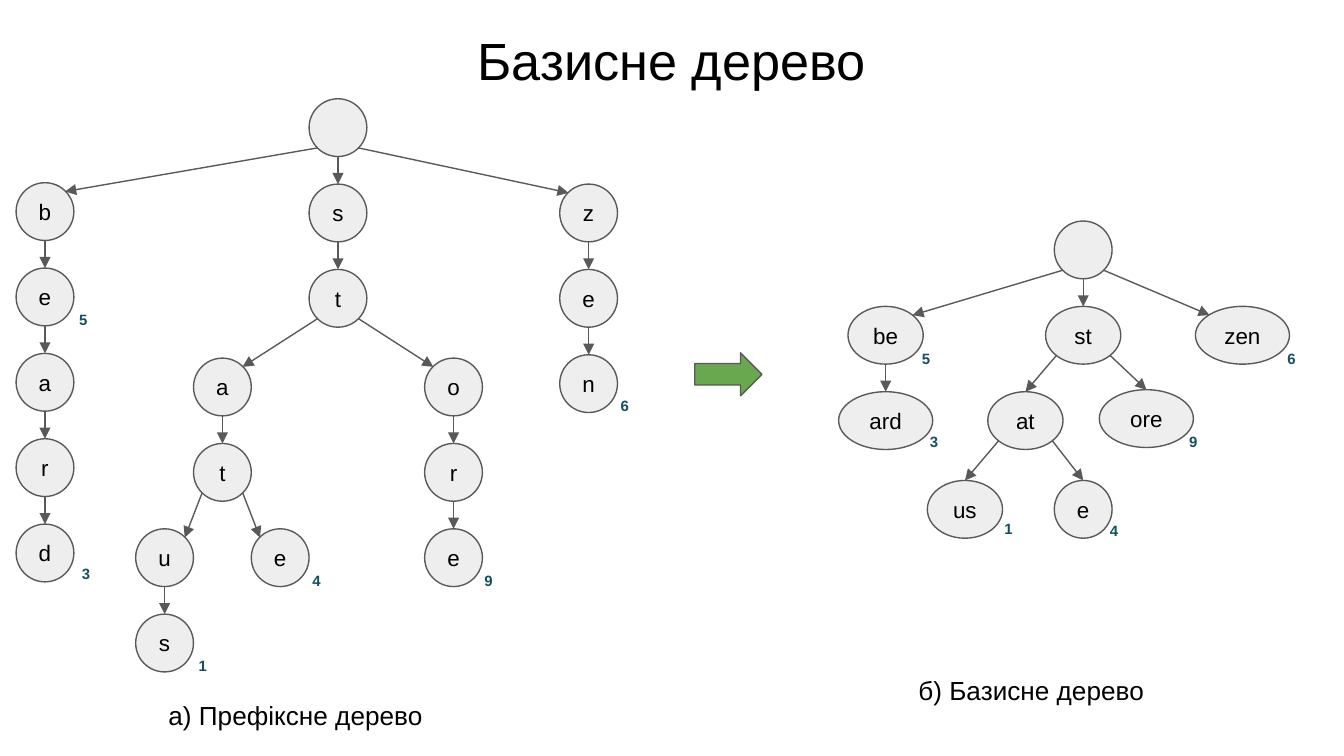
from dataclasses import dataclass
from math import sqrt

from lxml.etree import SubElement
from pptx import Presentation
from pptx.dml.color import RGBColor
from pptx.enum.shapes import MSO_CONNECTOR as Line, MSO_SHAPE as Shape
from pptx.enum.text import MSO_ANCHOR as Anchor, MSO_AUTO_SIZE as AutoSize, PP_ALIGN as Align
from pptx.oxml.ns import qn
from pptx.util import Pt

EMU_PER_PX = 4572
NODE_HEIGHT = 86
NODE_WIDTHS = {0: 86, 1: 86, 2: 112, 3: 140}
INSET = 20


@dataclass(frozen=True)
class Theme:
    font: str = "Arial"
    ink: str = "000000"
    node: str = "EEEEEE"
    outline: str = "595959"
    value: str = "134F5C"
    arrow: str = "6AA84F"
    title_size: int = 28
    caption_size: int = 14
    node_size: int = 12
    value_size: int = 8
    line_width: float = 0.75


@dataclass(frozen=True)
class Node:
    label: str
    cx: int
    top: int
    children: tuple = ()
    value: str = ""
    value_at: tuple = (0, 0)
    enter_at_top: bool = False

    @property
    def width(self):
        return NODE_WIDTHS[len(self.label)]

    def diagonal_point(self, side, level):
        x = self.cx + side * self.width / 2 / sqrt(2)
        y = self.top + NODE_HEIGHT / 2 + level * NODE_HEIGHT / 2 / sqrt(2)
        return round(x), round(y)


def px(*lengths):
    return [length * EMU_PER_PX for length in lengths]


def rgb(color):
    return RGBColor.from_string(color)


def write_text(frame, text, *, font, size, color, bold=False, align=Align.LEFT, anchor=Anchor.TOP):
    frame.word_wrap = True
    frame.auto_size = AutoSize.NONE
    frame.vertical_anchor = anchor
    inset, = px(INSET)
    frame.margin_left = frame.margin_right = inset
    frame.margin_top = frame.margin_bottom = inset
    paragraph = frame.paragraphs[0]
    paragraph.alignment = align
    run = paragraph.add_run()
    run.text = text
    run.font.name = font
    run.font.size = Pt(size)
    run.font.bold = bold
    run.font.color.rgb = rgb(color)


class TreeSlide:
    def __init__(self, deck, theme):
        self.theme = theme
        self.slide = deck.slides.add_slide(deck.slide_layouts[5])

    def title(self, text, left, top, width, height):
        heading = self.slide.shapes.title
        heading.left, heading.top, heading.width, heading.height = px(left, top, width, height)
        write_text(heading.text_frame, text, font=self.theme.font, size=self.theme.title_size,
                   color=self.theme.ink, align=Align.CENTER)

    def label(self, text, left, top, width, height, **style):
        box = self.slide.shapes.add_textbox(*px(left, top, width, height))
        write_text(box.text_frame, text, font=self.theme.font, **style)

    def caption(self, text, left, top, width):
        self.label(text, left, top, width, 126, size=self.theme.caption_size, color=self.theme.ink)

    def shape(self, kind, left, top, width, height, fill):
        figure = self.slide.shapes.add_shape(kind, *px(left, top, width, height))
        figure.shadow.inherit = False
        figure.fill.solid()
        figure.fill.fore_color.rgb = rgb(fill)
        figure.line.color.rgb = rgb(self.theme.outline)
        figure.line.width = Pt(self.theme.line_width)
        return figure

    def node(self, node):
        left = node.cx - node.width // 2
        oval = self.shape(Shape.OVAL, left, node.top, node.width, NODE_HEIGHT, self.theme.node)
        if node.label:
            write_text(oval.text_frame, node.label, font=self.theme.font, size=self.theme.node_size,
                       color=self.theme.ink, align=Align.CENTER, anchor=Anchor.MIDDLE)
        if node.value:
            self.label(node.value, *node.value_at, 50, 54, size=self.theme.value_size,
                       color=self.theme.value, bold=True)

    def arrow(self, start, end):
        edge = self.slide.shapes.add_connector(Line.STRAIGHT, *px(*start, *end))
        edge.line.color.rgb = rgb(self.theme.outline)
        edge.line.width = Pt(self.theme.line_width)
        SubElement(edge.get_or_add_ln(), qn("a:tailEnd"), type="triangle")
        SubElement(edge.element.spPr, qn("a:effectLst"))

    def edge(self, parent, child):
        child_top = (child.cx, child.top)
        if parent.cx == child.cx:
            self.arrow((parent.cx, parent.top + NODE_HEIGHT), child_top)
            return
        side = 1 if child.cx > parent.cx else -1
        end = child_top if child.enter_at_top else child.diagonal_point(-side, -1)
        self.arrow(parent.diagonal_point(side, 1), end)

    def tree(self, root):
        self.node(root)
        for child in root.children:
            self.edge(root, child)
            self.tree(child)


PREFIX_TREE = Node("", 503, 147, (
    Node("b", 67, 272, (
        Node("e", 67, 399, (
            Node("a", 67, 526, (
                Node("r", 67, 653, (
                    Node("d", 67, 780, value="3", value_at=(102, 820)),)),)),),
             value="5", value_at=(98, 442)),)),
    Node("s", 503, 274, (
        Node("t", 503, 401, (
            Node("a", 331, 533, (
                Node("t", 331, 660, (
                    Node("u", 245, 787, (
                        Node("s", 245, 914, value="1", value_at=(276, 957)),)),
                    Node("e", 417, 787, value="4", value_at=(445, 830)))),)),
            Node("o", 675, 533, (
                Node("r", 675, 660, (
                    Node("e", 675, 787, value="9", value_at=(701, 830)),)),)))),)),
    Node("z", 876, 274, (
        Node("e", 876, 401, (
            Node("n", 876, 528, value="6", value_at=(904, 570)),)),)),
))

RADIX_TREE = Node("", 1612, 329, (
    Node("be", 1318, 456, (
        Node("ard", 1318, 583, value="3", value_at=(1364, 624)),),
         value="5", value_at=(1352, 500)),
    Node("st", 1612, 456, (
        Node("at", 1526, 583, (
            Node("us", 1436, 715, value="1", value_at=(1475, 754), enter_at_top=True),
            Node("e", 1612, 715, value="4", value_at=(1632, 756), enter_at_top=True)),
             enter_at_top=True),
        Node("ore", 1706, 580, value="9", value_at=(1750, 624), enter_at_top=True))),
    Node("zen", 1849, 456, value="6", value_at=(1896, 500)),
))


def main():
    deck = Presentation()
    deck.slide_width, deck.slide_height = px(2000, 1125)
    theme = Theme()
    page = TreeSlide(deck, theme)
    page.title("Базисне дерево", 68, 22, 1863, 126)
    page.tree(PREFIX_TREE)
    page.caption("а) Префіксне дерево", 231, 1021, 426)
    page.shape(Shape.RIGHT_ARROW, 1034, 525, 100, 64, theme.arrow)
    page.tree(RADIX_TREE)
    page.caption("б) Базисне дерево", 1347, 984, 388)
    deck.save("out.pptx")


if __name__ == "__main__":
    main()
